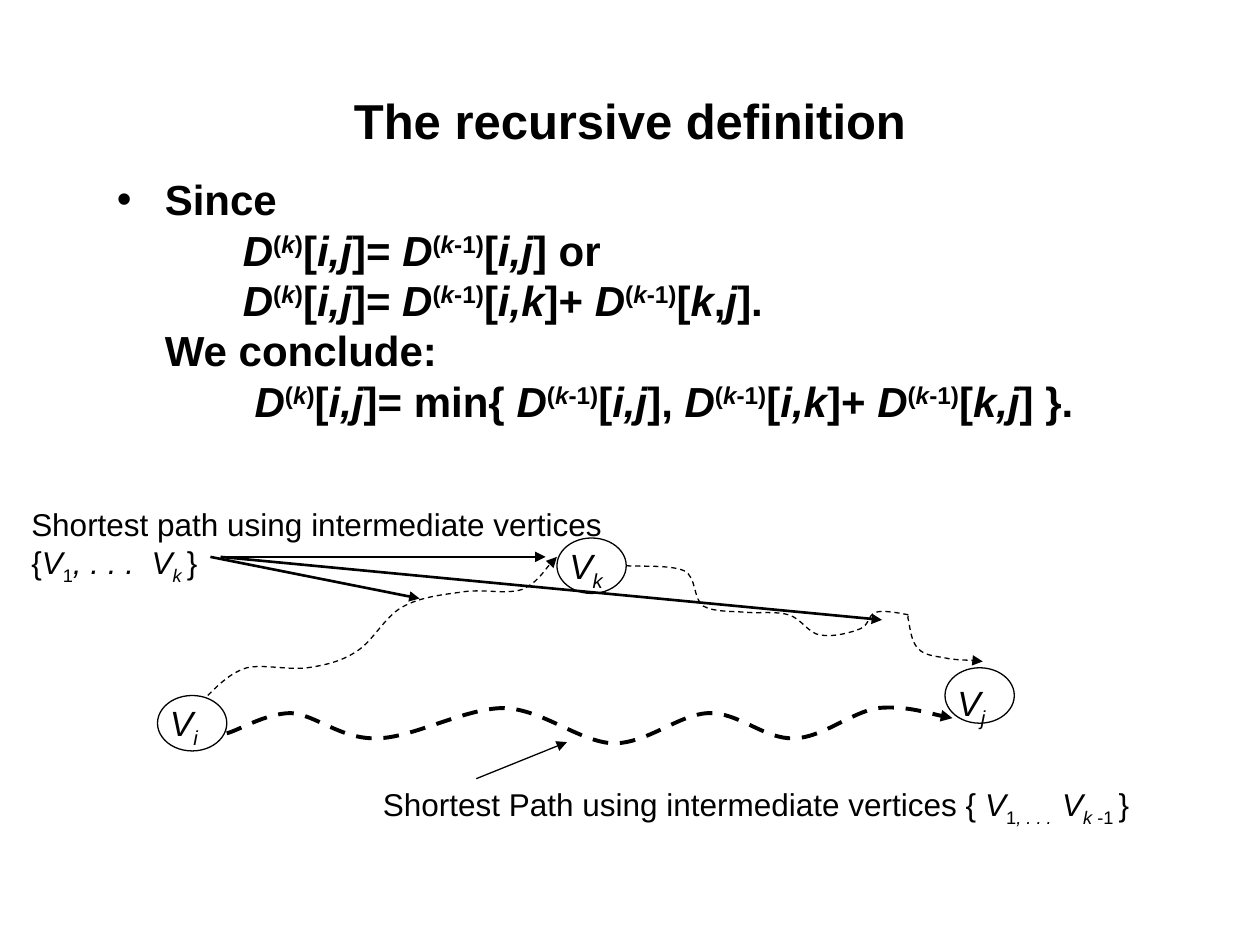
from lxml.etree import SubElement
from pptx import Presentation
from pptx.dml.color import RGBColor
from pptx.enum.dml import MSO_LINE_DASH_STYLE as Dash
from pptx.enum.shapes import MSO_CONNECTOR, MSO_SHAPE
from pptx.enum.text import MSO_ANCHOR, PP_ALIGN
from pptx.oxml.ns import qn
from pptx.util import Inches, Pt

COLORS = {"ink": "000000"}
FONT = "Arial"
BASELINES = {"^": "30000", "_": "-25000"}

DEFINITION = (
    "Since\n"
    "\t*D*^(*k*)^[*i,j*]= *D*^(*k*-1)^[*i,j*] or\n"
    "\t*D*^(*k*)^[*i,j*]=* D*^(*k*-1)^[*i,k*]+ *D*^(*k*-1)^[*k*,*j*].\n"
    "We conclude:\n"
    "\t *D*^(*k*)^[*i,j*]= min{ *D*^(*k*-1)^[*i,j*], "
    "*D*^(*k*-1)^[*i,k*]+ *D*^(*k*-1)^[*k,j*] }."
)
UPPER_NOTE = "Shortest path using intermediate vertices\n{*V*_1_*, . . .  V_k _*}"
LOWER_NOTE = ("Shortest Path using intermediate vertices "
              "{ *V*_1*, . . .  _V_k* -1 _}")

VERTICES = [
    ("i", (1.25, 5.52), (1.25, 5.52), 0.55),
    ("k", (4.42, 4.27), (4.42, 4.27), 0.63),
    ("j", (7.5, 5.3), (7.5, 5.36), 0.49),
]

DIRECT_PATH = [
    (1.8, 5.82), (1.89, 5.8), (2.11, 5.66), (2.31, 5.66),
    (2.5, 5.67), (2.71, 5.87), (2.99, 5.86),
    (3.27, 5.86), (3.69, 5.62), (4, 5.62),
    (4.31, 5.63), (4.6, 5.89), (4.87, 5.9),
    (5.14, 5.9), (5.39, 5.67), (5.62, 5.66),
    (5.86, 5.65), (6.07, 5.87), (6.3, 5.86),
    (6.52, 5.86), (6.76, 5.65), (6.97, 5.62),
    (7.18, 5.6), (7.44, 5.68), (7.56, 5.7),
]
PATH_TO_K = [
    (1.65, 5.52), (1.74, 5.43), (1.83, 5.34), (1.96, 5.3),
    (2.09, 5.27), (2.29, 5.32), (2.44, 5.3),
    (2.58, 5.28), (2.71, 5.25), (2.83, 5.17),
    (2.96, 5.09), (3.05, 4.9), (3.19, 4.82),
    (3.33, 4.74), (3.51, 4.72), (3.66, 4.7),
    (3.82, 4.67), (4.01, 4.72), (4.14, 4.68),
    (4.26, 4.63), (4.36, 4.47), (4.42, 4.42),
]
PATH_FROM_K = [
    (4.97, 4.49), (5.05, 4.5), (5.32, 4.48), (5.43, 4.53),
    (5.53, 4.58), (5.5, 4.75), (5.58, 4.81),
    (5.67, 4.86), (5.81, 4.85), (5.92, 4.86),
    (6.03, 4.87), (6.16, 4.85), (6.26, 4.88),
    (6.36, 4.91), (6.42, 5.03), (6.51, 5.04),
    (6.61, 5.06), (6.76, 5.02), (6.83, 4.99),
    (6.9, 4.96), (6.89, 4.88), (6.95, 4.86),
    (7.01, 4.84), (7.16, 4.87), (7.21, 4.88),
    (7.25, 4.89), (7.19, 4.87), (7.21, 4.92),
    (7.22, 4.96), (7.23, 5.1), (7.29, 5.15),
    (7.34, 5.21), (7.46, 5.21), (7.54, 5.23),
    (7.63, 5.24), (7.75, 5.24), (7.8, 5.25),
]


def color(name):
    return RGBColor.from_string(COLORS[name])


def add_span(para, text, size, bold, italic, baseline):
    span = para.add_run()
    span.text = text
    span.font.name = FONT
    span.font.size = Pt(size)
    span.font.bold = bold
    span.font.italic = italic
    span.font.color.rgb = color("ink")
    if baseline:
        span._r.get_or_add_rPr().set("baseline", BASELINES[baseline])


def write_math(para, markup, size, bold):
    # * toggles italic, ^ superscript, _ subscript
    text, italic, baseline = "", False, ""
    for char in markup + "\n":
        if char not in "*^_\n":
            text += char
            continue
        if text:
            add_span(para, text, size, bold, italic, baseline)
            text = ""
        if char == "*":
            italic = not italic
        elif char in BASELINES:
            baseline = "" if baseline else char
        else:
            para.add_line_break()
    para._p.remove(para._p.findall(qn("a:br"))[-1])


def add_text(page, markup, left, top, width, height, size=18, bold=False, wrap=True):
    box = page.shapes.add_textbox(Inches(left), Inches(top), Inches(width), Inches(height))
    box.text_frame.word_wrap = wrap
    write_math(box.text_frame.paragraphs[0], markup, size, bold)
    return box


def add_bullet(para):
    props = para._p.get_or_add_pPr()
    props.set("marL", str(Inches(0.38)))
    props.set("indent", str(-Inches(0.38)))
    SubElement(props, qn("a:buFont")).set("typeface", FONT)
    SubElement(props, qn("a:buChar")).set("char", "•")
    tabs = SubElement(props, qn("a:tabLst"))
    for inch in range(1, 9):
        tab = SubElement(tabs, qn("a:tab"))
        tab.set("pos", str(Inches(inch)))
        tab.set("algn", "l")


def style_line(line, weight, arrow=True):
    line.color.rgb = color("ink")
    line.width = Pt(weight)
    if arrow:
        SubElement(line._get_or_add_ln(), qn("a:tailEnd")).set("type", "triangle")


def add_vertex(page, left, top):
    vertex = page.shapes.add_shape(
        MSO_SHAPE.OVAL, Inches(left), Inches(top), Inches(0.55), Inches(0.44))
    vertex.shadow.inherit = False
    vertex.fill.background()
    style_line(vertex.line, 0.75, arrow=False)


def add_curve(page, points, weight):
    start, *others = [(Inches(x), Inches(y)) for x, y in points]
    builder = page.shapes.build_freeform(*start)
    builder.add_line_segments(others, close=False)
    curve = builder.convert_to_shape()
    outline = curve._element.find(".//" + qn("a:path"))
    steps = outline.findall(qn("a:lnTo"))
    for index in range(0, len(steps), 3):
        bezier = SubElement(outline, qn("a:cubicBezTo"))
        for step in steps[index:index + 3]:
            bezier.append(step[0])
            outline.remove(step)
    curve.shadow.inherit = False
    curve.fill.background()
    curve.line.dash_style = Dash.DASH
    style_line(curve.line, weight)


def add_arrow(page, start, end, weight):
    arrow = page.shapes.add_connector(
        MSO_CONNECTOR.STRAIGHT, *[Inches(value) for value in start + end])
    style_line(arrow.line, weight)
    SubElement(arrow._element.spPr, qn("a:effectLst"))


def main():
    deck = Presentation()
    deck.slide_width, deck.slide_height = Inches(10), Inches(7.5)
    page = deck.slides.add_slide(deck.slide_layouts[6])

    title = add_text(page, "The recursive definition", 0.75, 0.33, 8.5, 1.25, 28, True)
    title.text_frame.vertical_anchor = MSO_ANCHOR.MIDDLE
    title.text_frame.paragraphs[0].alignment = PP_ALIGN.CENTER
    body = add_text(page, DEFINITION, 0.83, 1.33, 8.5, 2.42, 24, True)
    add_bullet(body.text_frame.paragraphs[0])

    for name, spot, label_spot, label_width in VERTICES:
        add_vertex(page, *spot)
        add_text(page, f"*V_{name}_*", *label_spot, label_width, 0.48, 20)

    add_curve(page, DIRECT_PATH, 2.25)
    add_text(page, LOWER_NOTE, 2.94, 6.18, 6.12, 0.44, wrap=False)
    add_arrow(page, (3.78, 6.18), (4.5, 5.89), 0.75)
    add_curve(page, PATH_TO_K, 0.75)
    add_curve(page, PATH_FROM_K, 0.75)
    add_arrow(page, (1.67, 4.42), (3.33, 4.75), 1.5)
    add_arrow(page, (1.75, 4.42), (7, 4.92), 1.5)
    add_text(page, UPPER_NOTE, 0.15, 3.96, 4.73, 0.74, wrap=False)
    add_arrow(page, (1.75, 4.42), (4.33, 4.42), 1)

    deck.save("out.pptx")


if __name__ == "__main__":
    main()
